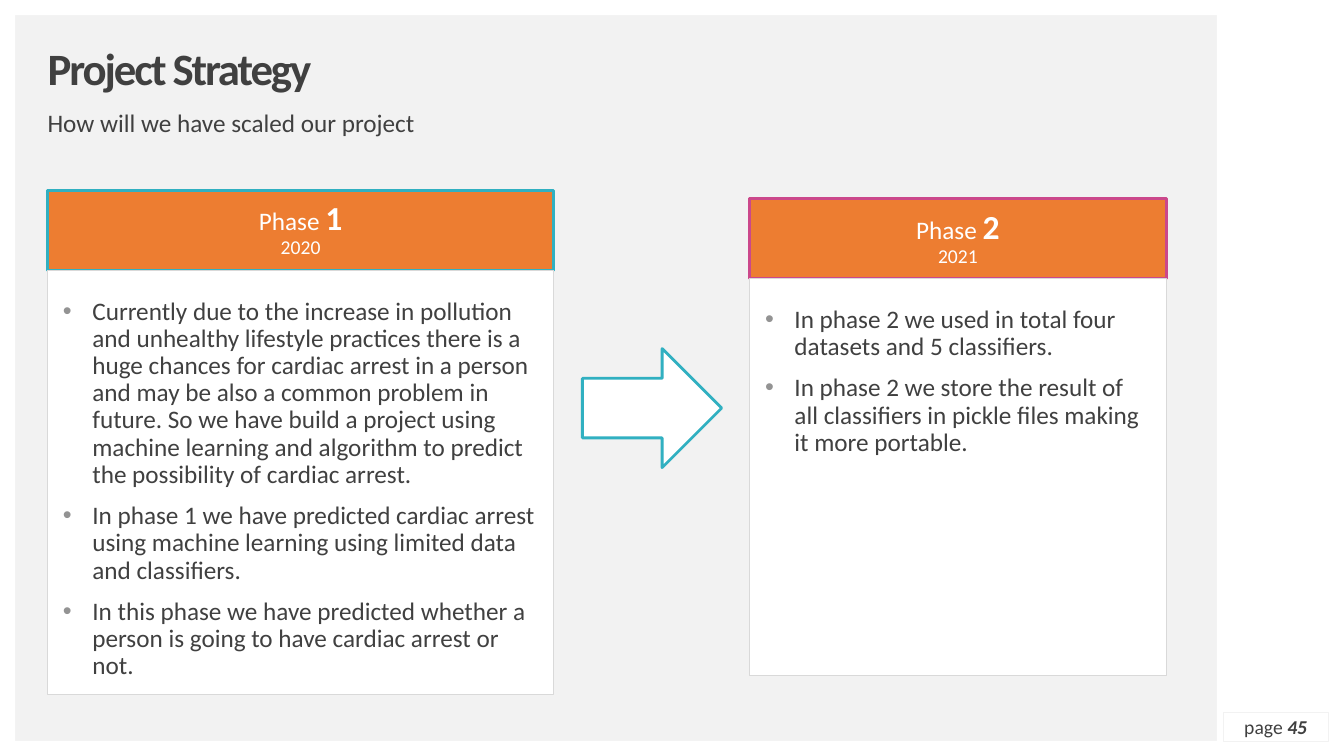
from pptx import Presentation
from pptx import util as u
from pptx.dml import color
from pptx.enum import shapes, text
from pptx.oxml import parse_xml
from pptx.oxml.ns import nsdecls

WHITE, GREY, DARK = "FFFFFF", "F2F2F2", "404040"
ORANGE, TEAL, PINK = "ED7D31", "31B0C1", "CB488B"
PANEL_LINE, BULLET = "D9D9D9", "939393"
CENTER = text.PP_ALIGN.CENTER
MIDDLE, TOP = text.MSO_ANCHOR.MIDDLE, text.MSO_ANCHOR.TOP


def rgb(value):
    return color.RGBColor.from_string(value)


def set_all(target, values):
    for name, value in values.items():
        setattr(target, name, value)


def add_box(slide, box, fill=None, line=None, width=0, kind=shapes.MSO_SHAPE.RECTANGLE):
    shape = slide.shapes.add_shape(kind, *map(u.Pt, box))
    shape.shadow.inherit = False
    if fill:
        shape.fill.solid()
        shape.fill.fore_color.rgb = rgb(fill)
    else:
        shape.fill.background()
    if line:
        shape.line.color.rgb = rgb(line)
        shape.line.width = u.Pt(width)
    else:
        shape.line.fill.background()
    return shape


def set_frame(shape, insets=(0, 0, 0, 0), anchor=TOP):
    left, top, right, bottom = map(u.Pt, insets)
    frame = shape.text_frame
    set_all(frame, {"word_wrap": True, "vertical_anchor": anchor,
                    "margin_left": left, "margin_top": top,
                    "margin_right": right, "margin_bottom": bottom})
    return frame


def add_run(paragraph, words, size, fill=DARK, **formats):
    run = paragraph.add_run()
    run.text = words
    set_all(run.font, {"name": "Calibri", "size": u.Pt(size), **formats})
    run.font.color.rgb = rgb(fill)
    return run


def add_bullet(paragraph, indent=21):
    properties = paragraph._p.get_or_add_pPr()
    properties.set("marL", str(u.Pt(indent)))
    properties.set("indent", str(-u.Pt(indent)))
    for xml in (f'<a:buClr {nsdecls("a")}><a:srgbClr val="{BULLET}"/></a:buClr>',
                f'<a:buFont {nsdecls("a")} typeface="Arial"/>',
                f'<a:buChar {nsdecls("a")} char="•"/>'):
        properties.append(parse_xml(xml))


# White margins around the grey page
def add_margins(slide, width, height, edge=10.8, side=97.2):
    for box in ((0, 0, width, edge), (0, 0, edge, height),
                (width - side + 6.5, 0, side - 6.5, height),
                (0, height - edge, width, edge)):
        add_box(slide, box, WHITE)


# Title and subtitle
def add_heading(slide, box, title, subtitle):
    left, top, width, height = box
    for words, offset, tall, size, anchor in ((title, 0, height, 32, MIDDLE),
                                              (subtitle, 45.2, 19.5, 18, TOP)):
        textbox = slide.shapes.add_textbox(*map(u.Pt, (left, top + offset, width, tall)))
        paragraph = set_frame(textbox, anchor=anchor).paragraphs[0]
        paragraph.line_spacing = 0.9
        run = add_run(paragraph, words, size, bold=words == title)
        if words == title:
            run.font._element.set("spc", "-150")


# Phase panel: coloured header over a bulleted body
def add_phase(slide, box, number, year, outline, points, head=57):
    left, top, width, height = box
    header = add_box(slide, (left, top, width, head), ORANGE, outline, 2.25)
    paragraph = set_frame(header, (8.5, 3, 8.5, 3), MIDDLE).paragraphs[0]
    set_all(paragraph, {"alignment": CENTER, "line_spacing": 0.9})
    add_run(paragraph, "Phase ", 18, WHITE)
    add_run(paragraph, number, 24, WHITE, bold=True)
    paragraph.add_line_break()
    add_run(paragraph, year, 14, WHITE)

    body = add_box(slide, (left, top + head, width, height - head), WHITE, PANEL_LINE, 0.75)
    frame = set_frame(body, (11, 20, 11, 0))
    for index, point in enumerate(points):
        paragraph = frame.add_paragraph() if index else frame.paragraphs[0]
        set_all(paragraph, {"alignment": text.PP_ALIGN.LEFT, "line_spacing": 0.9,
                            "space_before": u.Pt(10 if index else 0)})
        add_bullet(paragraph)
        add_run(paragraph, point, 18)


# Page number
def add_page_number(slide, box, number):
    shape = add_box(slide, box, None, GREY, 0.25)
    paragraph = set_frame(shape, anchor=MIDDLE).paragraphs[0]
    paragraph.alignment = CENTER
    add_run(paragraph, "page ", 14)
    add_run(paragraph, number, 14, bold=True, italic=True)


def main():
    presentation = Presentation()
    set_all(presentation, {"slide_width": u.Pt(960), "slide_height": u.Pt(540)})
    slide = presentation.slides.add_slide(presentation.slide_layouts[6])
    slide.background.fill.solid()
    slide.background.fill.fore_color.rgb = rgb(GREY)

    add_margins(slide, 960, 540)
    add_heading(slide, (34, 34, 798, 34), "Project Strategy",
                "How will we have scaled our project")
    add_phase(slide, (34, 136, 361.5, 360), "1", "2020", TEAL, [
        "Currently due to the increase in pollution and unhealthy lifestyle practices "
        "there is a huge chances for cardiac arrest in a person and may be also a common "
        "problem in future. So we have build a project using machine learning and "
        "algorithm to predict the possibility of cardiac arrest.",
        "In phase 1 we have predicted cardiac arrest using machine learning using "
        "limited data and classifiers.",
        "In this phase we have predicted whether a person is going to have cardiac "
        "arrest or not."])
    add_phase(slide, (535.5, 142, 297.5, 340.5), "2", "2021", PINK, [
        "In phase 2 we used in total four datasets and 5 classifiers.",
        "In phase 2 we store the result of all classifiers in pickle files making it "
        "more portable."])
    add_box(slide, (416, 249, 99.5, 85), WHITE, TEAL, 2, shapes.MSO_SHAPE.RIGHT_ARROW)
    add_page_number(slide, (873.5, 508.5, 75.5, 21), "45")
    presentation.save("out.pptx")


if __name__ == "__main__":
    main()
